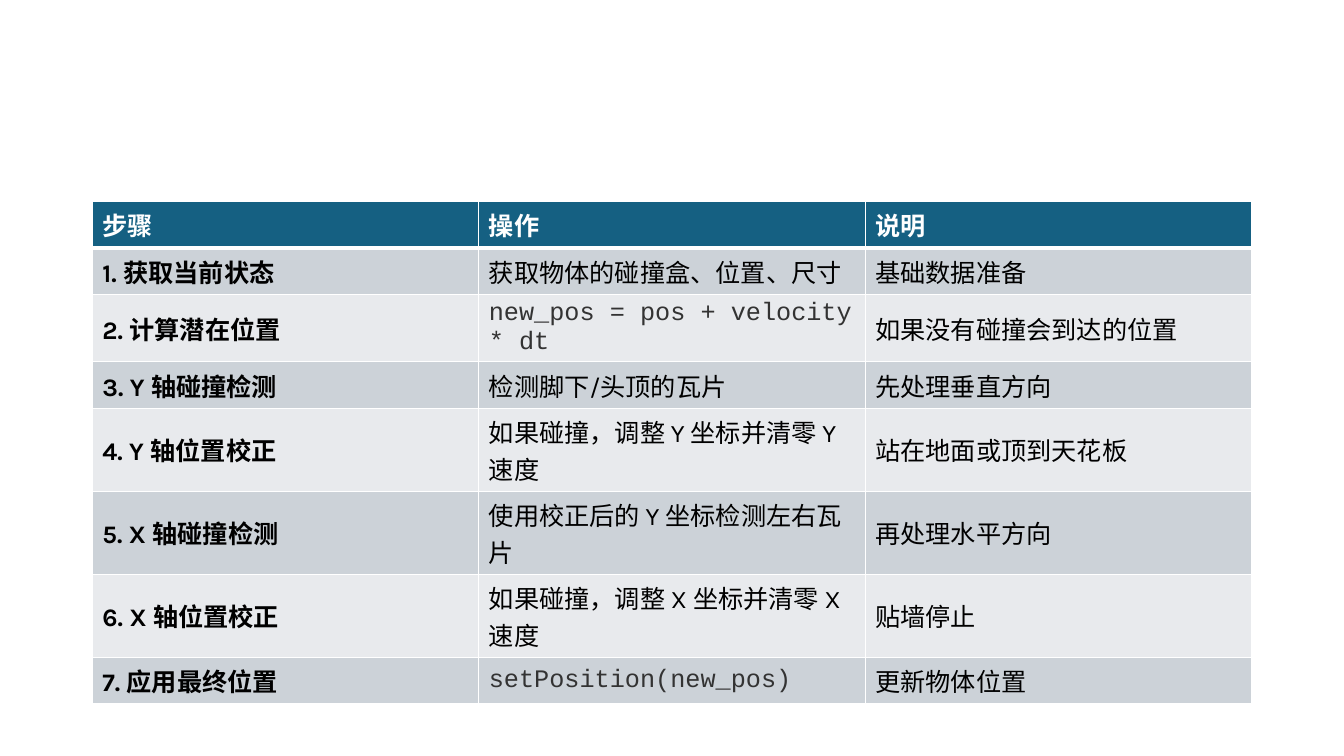
import lxml.etree
import pptx
import pptx.dml.color
import pptx.enum.lang
import pptx.enum.text
import pptx.oxml
import pptx.oxml.ns
import pptx.util

COLORS = {
    "header": "156082",
    "odd": "CCD2D8",
    "even": "E8EAED",
    "white": "FFFFFF",
    "text": "000000",
    "code": "333333",
}
STEPS = [
    ("步骤", "操作", "说明"),
    ("1. 获取当前状态", "获取物体的碰撞盒、位置、尺寸", "基础数据准备"),
    ("2. 计算潜在位置", "new_pos = pos + velocity * dt", "如果没有碰撞会到达的位置"),
    ("3. Y 轴碰撞检测", "检测脚下/头顶的瓦片", "先处理垂直方向"),
    ("4. Y 轴位置校正", "如果碰撞，调整 Y 坐标并清零 Y 速度", "站在地面或顶到天花板"),
    ("5. X 轴碰撞检测", "使用校正后的 Y 坐标检测左右瓦片", "再处理水平方向"),
    ("6. X 轴位置校正", "如果碰撞，调整 X 坐标并清零 X 速度", "贴墙停止"),
    ("7. 应用最终位置", "setPosition(new_pos)", "更新物体位置"),
]


class SlideBuilder:
    font_name = "Karla"
    code_font = "Courier New"
    font_size = 18

    def __init__(self, slide):
        self.slide = slide

    def color(self, name):
        return pptx.dml.color.RGBColor.from_string(COLORS[name])

    def border(self, cell, top, bottom):
        properties = cell._tc.get_or_add_tcPr()
        widths = {"lnL": 1, "lnR": 1, "lnT": top, "lnB": bottom}
        for position, (side, width) in enumerate(widths.items()):
            line = pptx.oxml.parse_xml(
                f'<a:{side} {pptx.oxml.ns.nsdecls("a")} w="{pptx.util.Pt(width)}">'
                f'<a:solidFill><a:srgbClr val="{COLORS["white"]}"/></a:solidFill>'
                f'</a:{side}>'
            )
            properties.insert(position, line)

    def cell(self, cell, text, fill, color, bold, font_name):
        cell.text_frame.text = text
        cell.vertical_anchor = pptx.enum.text.MSO_ANCHOR.MIDDLE
        cell.fill.solid()
        cell.fill.fore_color.rgb = self.color(fill)
        font = cell.text_frame.paragraphs[0].runs[0].font
        font.name = font_name
        font.size = pptx.util.Pt(self.font_size)
        font.bold = bold
        font.color.rgb = self.color(color)
        font.language_id = pptx.enum.lang.MSO_LANGUAGE_ID.SIMPLIFIED_CHINESE

    def table(self, rows, left, top, width, row_height):
        frame = self.slide.shapes.add_table(
            len(rows), len(rows[0]), pptx.util.Pt(left), pptx.util.Pt(top),
            pptx.util.Pt(width), pptx.util.Pt(row_height * len(rows)),
        )
        for row_index, texts in enumerate(rows):
            is_header = row_index == 0
            fill = "header" if is_header else ("even", "odd")[row_index % 2]
            for column_index, text in enumerate(texts):
                is_code = text.isascii()
                color = "white" if is_header else "code" if is_code else "text"
                cell = frame.table.cell(row_index, column_index)
                self.cell(
                    cell, text, fill, color, is_header or column_index == 0,
                    self.code_font if is_code else self.font_name,
                )
                self.border(cell, 3 if row_index == 1 else 1, 3 if is_header else 1)


def main():
    deck = pptx.Presentation()
    deck.slide_width = pptx.util.Pt(960)
    deck.slide_height = pptx.util.Pt(540)
    builder = SlideBuilder(deck.slides.add_slide(deck.slide_layouts[6]))
    builder.table(STEPS, left=66, top=143.75, width=828, row_height=29.2)
    deck.save("out.pptx")


if __name__ == "__main__":
    main()
